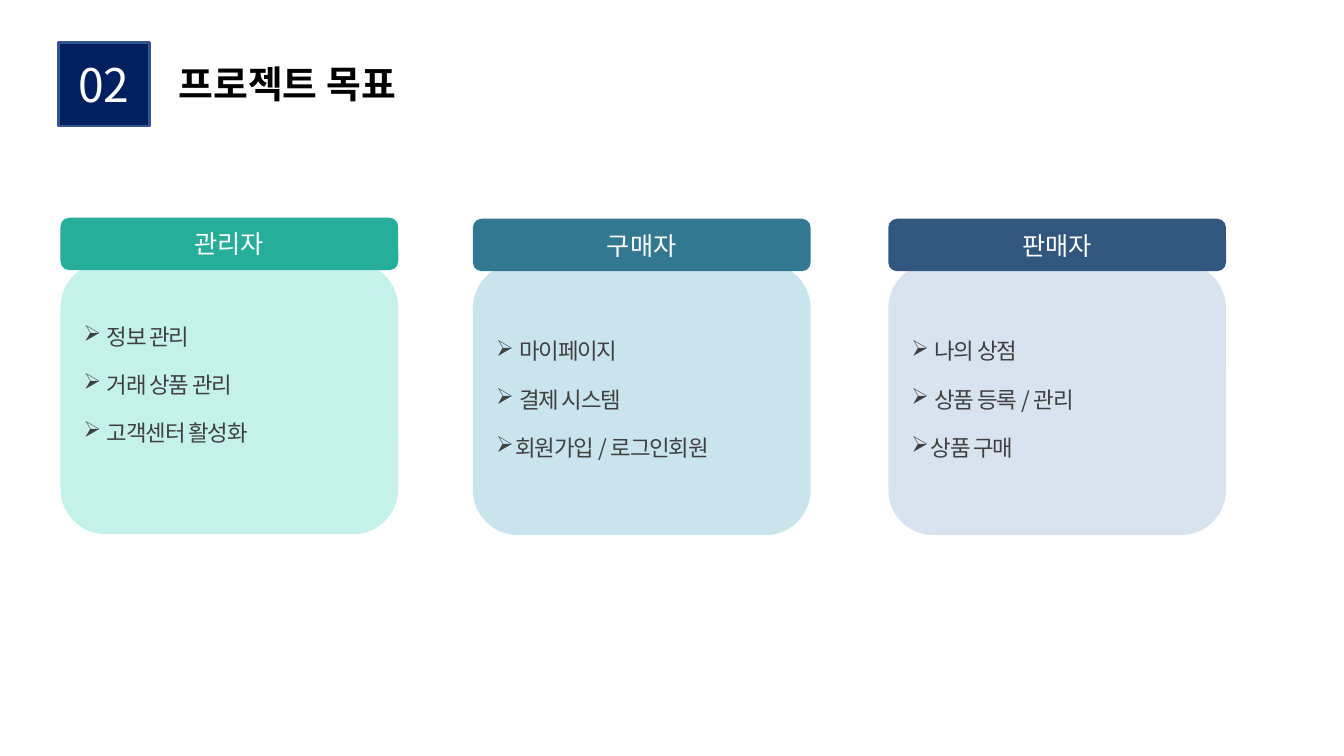
from lxml import etree
from pptx import Presentation
from pptx.dml.color import RGBColor
from pptx.enum.shapes import MSO_SHAPE
from pptx.enum.text import MSO_ANCHOR, MSO_AUTO_SIZE, PP_ALIGN
from pptx.oxml.ns import qn
from pptx.util import Pt

RECT = MSO_SHAPE.RECTANGLE
ROUND = MSO_SHAPE.ROUNDED_RECTANGLE
MIDDLE = MSO_ANCHOR.MIDDLE
LEFT, CENTER = PP_ALIGN.LEFT, PP_ALIGN.CENTER
FIXED = MSO_AUTO_SIZE.NONE

SCALE = 9144
FACE = "Noto Sans CJK KR"
COLORS = {
    "navy": "002060", "edge": "325490", "white": "FFFFFF",
    "black": "000000", "gray": "404040",
    "mint": "C4F2EB", "green": "26AE9A",
    "sky": "C9E4ED", "teal": "327891",
    "ice": "D8E3F0", "blue": "32577F",
}
FORMATS = {
    "number": {"size": Pt(33)},
    "title": {"size": Pt(27), "bold": True},
    "head": {"size": Pt(18)},
    "item": {"size": Pt(16)},
}
CARDS = [
    (60, 216, "mint", "green", "관리자", 32,
     [" 정보 관리", " 거래 상품 관리", " 고객센터 활성화"]),
    (469, 217, "sky", "teal", "구매자", 5,
     [" 마이페이지", " 결제 시스템", "회원가입 / 로그인회원"]),
    (881, 217, "ice", "blue", "판매자", 5,
     [" 나의 상점", " 상품 등록 / 관리", "상품 구매"]),
]


def px(count):
    return count * SCALE


def paint(name):
    return RGBColor.from_string(COLORS[name])


def write(para, text, style, color, align):
    para.alignment = align
    run = para.add_run()
    run.text = text
    for key, value in FORMATS[style].items():
        setattr(run.font, key, value)
    run.font.name = FACE
    run.font.color.rgb = paint(color)
    props = run._r.get_or_add_rPr()
    east = etree.Element(qn("a:ea"), typeface=FACE)
    props.find(qn("a:latin")).addnext(east)
    return props


def add_box(slide, kind, place, fill, edge=None):
    box = slide.shapes.add_shape(kind, *map(px, place))
    box.shadow.inherit = False
    box.fill.solid()
    box.fill.fore_color.rgb = paint(fill)
    if edge:
        box.line.color.rgb = paint(edge)
        box.line.width = Pt(2)
    else:
        box.line.fill.background()
    box.text_frame.word_wrap = True
    box.text_frame.vertical_anchor = MIDDLE
    return box


def add_label(slide, kind, place, fill, text, style, edge=None):
    frame = add_box(slide, kind, place, fill, edge).text_frame
    write(frame.paragraphs[0], text, style, "white", CENTER)


def add_mark(para):
    props = para._p.get_or_add_pPr()
    props.set("marL", str(px(19)))
    props.set("indent", str(px(-19)))
    color = etree.SubElement(props, qn("a:buClr"))
    etree.SubElement(color, qn("a:srgbClr"), val=COLORS["gray"])
    etree.SubElement(props, qn("a:buChar"), char="➢")


def add_list(slide, place, fill, items, bottom):
    frame = add_box(slide, ROUND, place, fill).text_frame
    frame.margin_bottom = px(bottom)
    for index, item in enumerate(items):
        para = frame.add_paragraph() if index else frame.paragraphs[0]
        add_mark(para)
        if index:
            para.space_before = Pt(15.2)
        props = write(para, item, "item", "gray", LEFT)
        props.set("spc", "-80")


def add_title(slide, text):
    title = slide.shapes.title
    place = {"left": 167, "top": 38, "width": 646, "height": 95}
    for key, value in place.items():
        setattr(title, key, px(value))
    frame = title.text_frame
    frame.auto_size = FIXED
    frame.word_wrap = True
    frame.vertical_anchor = MIDDLE
    para = frame.paragraphs[0]
    para.line_spacing = 0.9
    write(para, text, "title", "black", LEFT)


def main():
    deck = Presentation()
    deck.slide_width = px(1333)
    deck.slide_height = px(750)
    slide = deck.slides.add_slide(deck.slide_layouts[5])
    add_label(slide, RECT, (58, 42, 90, 83), "navy", "02", "number", "edge")
    add_title(slide, "프로젝트 목표")
    for left, top, pale, deep, name, bottom, items in CARDS:
        add_list(slide, (left, top + 44, 335, 270), pale, items, bottom)
        add_label(slide, ROUND, (left, top, 335, 52), deep, name, "head")
    deck.save("out.pptx")


if __name__ == "__main__":
    main()
